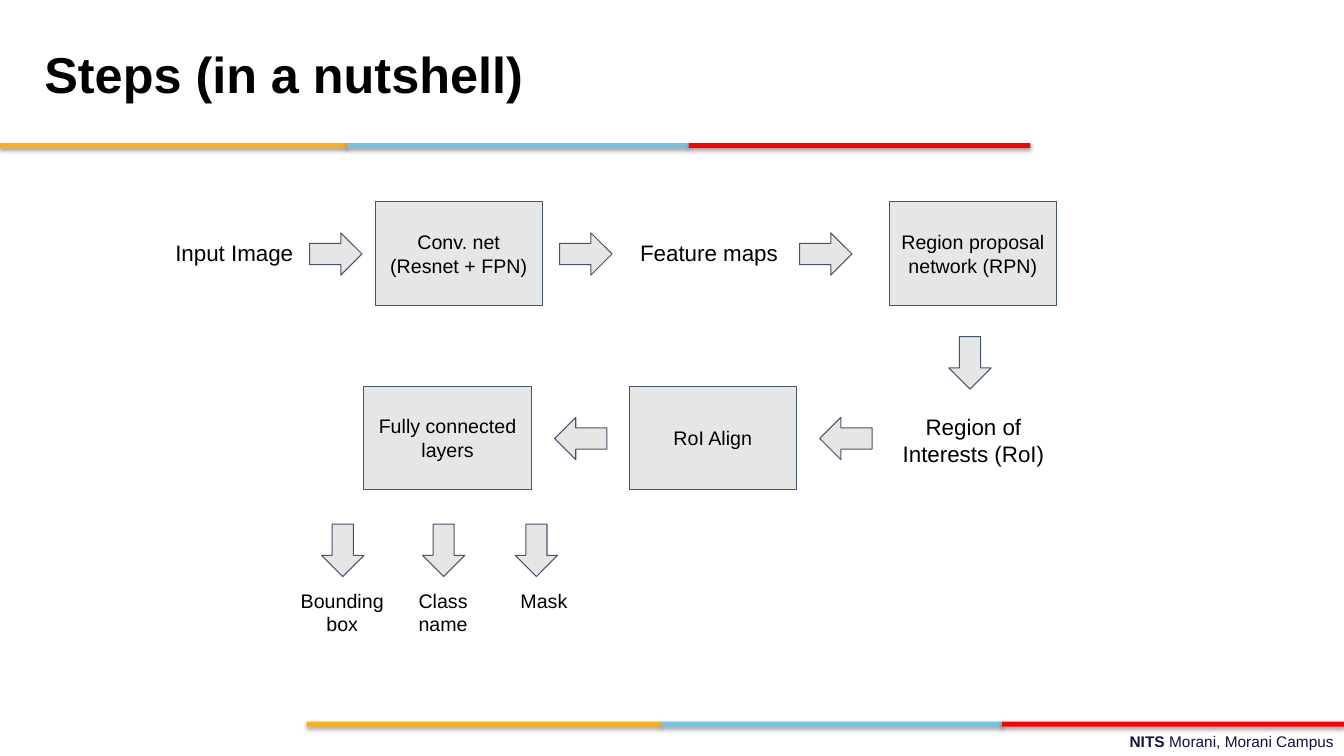
from lxml import etree
from pptx import Presentation
from pptx.dml.color import RGBColor
from pptx.enum.shapes import MSO_SHAPE
from pptx.enum.text import MSO_ANCHOR, MSO_AUTO_SIZE, PP_ALIGN
from pptx.util import Inches, Pt

BLACK = RGBColor(0x00, 0x00, 0x00)
NAVY = RGBColor(0x10, 0x11, 0x41)
SLATE = RGBColor(0x44, 0x54, 0x6A)
GREY = RGBColor(0xE7, 0xE6, 0xE6)
GOLD = RGBColor(0xFC, 0xB0, 0x17)
BLUE = RGBColor(0x76, 0xC2, 0xE5)
RED = RGBColor(0xFF, 0x00, 0x00)
RECT, ARROW = MSO_SHAPE.RECTANGLE, MSO_SHAPE.RIGHT_ARROW
LEFT, MID, RIGHT = PP_ALIGN.LEFT, PP_ALIGN.CENTER, PP_ALIGN.RIGHT
TOP, MIDDLE = MSO_ANCHOR.TOP, MSO_ANCHOR.MIDDLE
FIXED = MSO_AUTO_SIZE.NONE
SHADOW = (
    '<a:effectLst xmlns:a="http://schemas.openxmlformats.org/drawingml/2006/main">'
    '<a:outerShdw blurRad="39370" dist="22860" dir="5400000" rotWithShape="0">'
    '<a:srgbClr val="000000"><a:alpha val="35000"/></a:srgbClr>'
    '</a:outerShdw></a:effectLst>'
)


def draw(kind, x, y, w, h, fill):
    shape = slide.shapes.add_shape(kind, Inches(x), Inches(y), Inches(w), Inches(h))
    shape.shadow.inherit = False
    shape.fill.solid()
    shape.fill.fore_color.rgb = fill
    shape.line.color.rgb = SLATE
    shape.line.width = Pt(0.75)
    return shape


def write(shape, lines, size, align, anchor, pad=(0.1, 0.1), color=BLACK):
    frame = shape.text_frame
    frame.word_wrap = True
    frame.auto_size = FIXED
    frame.vertical_anchor = anchor
    frame.margin_left = frame.margin_right = Inches(pad[0])
    frame.margin_top = frame.margin_bottom = Inches(pad[1])
    for i, line in enumerate(lines):
        para = frame.paragraphs[0] if i == 0 else frame.add_paragraph()
        para.alignment = align
        for text, bold in line:
            run = para.add_run()
            run.text = text
            run.font.name = "Arial"
            run.font.size = Pt(size)
            run.font.bold = bold
            run.font.color.rgb = color


deck = Presentation()
deck.slide_width, deck.slide_height = Inches(13.33), Inches(7.5)
slide = deck.slides.add_slide(deck.slide_layouts[5])

title = slide.shapes.title
title.left, title.top = Inches(0.44), Inches(0.1)
title.width, title.height = Inches(9.22), Inches(1.25)
write(title, [[("Steps (in a nutshell)", True)]], 36, LEFT, MIDDLE, (0, 0))

foot = slide.shapes.add_textbox(Inches(4.78), Inches(7.21), Inches(8.55), Inches(0.28))
words = [("NITS ", True), ("Morani, Morani Campus", False)]
write(foot, [words], 11, RIGHT, TOP, (0.1, 0.05), NAVY)

bands = [
    (1.42, [0, 3.44, 6.83, 10.22]),
    (7.16, [3.04, 6.56, 9.94, 13.33]),
]
for y, edges in bands:
    for x, end, color in zip(edges, edges[1:], (GOLD, BLUE, RED)):
        bar = draw(RECT, x, y, end - x, 0.05, color)
        bar.line.fill.background()
        props = bar._element.spPr
        props.remove(props.find("{*}effectLst"))
        props.append(etree.fromstring(SHADOW))

boxes = [
    (3.72, 2, ["Conv. net", "(Resnet + FPN)"]),
    (8.82, 2, ["Region proposal network (RPN)"]),
    (6.24, 3.83, ["RoI Align"]),
    (3.61, 3.83, ["Fully connected layers"]),
]
for x, y, lines in boxes:
    box = draw(RECT, x, y, 1.66, 1.03, GREY)
    write(box, [[(line, False)] for line in lines], 14, MID, MIDDLE)

arrows = [
    (0, 2.31, [3.07, 5.55, 7.93]),
    (90, 3.39, [9.36]),
    (180, 4.14, [8.13, 5.5]),
    (90, 5.25, [3.14, 4.14, 5.06]),
]
for turn, y, spots in arrows:
    for x in spots:
        arrow = draw(ARROW, x, y, 0.52, 0.42, GREY)
        arrow.rotation = turn

labels = [
    (1.64, 2.27, 1.43, 0.5, 16, LEFT, ["Input Image"]),
    (6.25, 2.27, 1.73, 0.5, 16, LEFT, ["Feature maps"]),
    (8.79, 4, 1.73, 0.81, 16, MID, ["Region of Interests (RoI)"]),
    (2.68, 5.74, 1.43, 0.5, 14, MID, ["Bounding", "box"]),
    (3.68, 5.74, 1.43, 0.5, 14, MID, ["Class", "name"]),
    (4.68, 5.74, 1.43, 0.5, 14, MID, ["Mask"]),
]
for x, y, w, h, size, align, lines in labels:
    label = slide.shapes.add_textbox(Inches(x), Inches(y), Inches(w), Inches(h))
    write(label, [[(line, False)] for line in lines], size, align, TOP)

deck.save("out.pptx")
